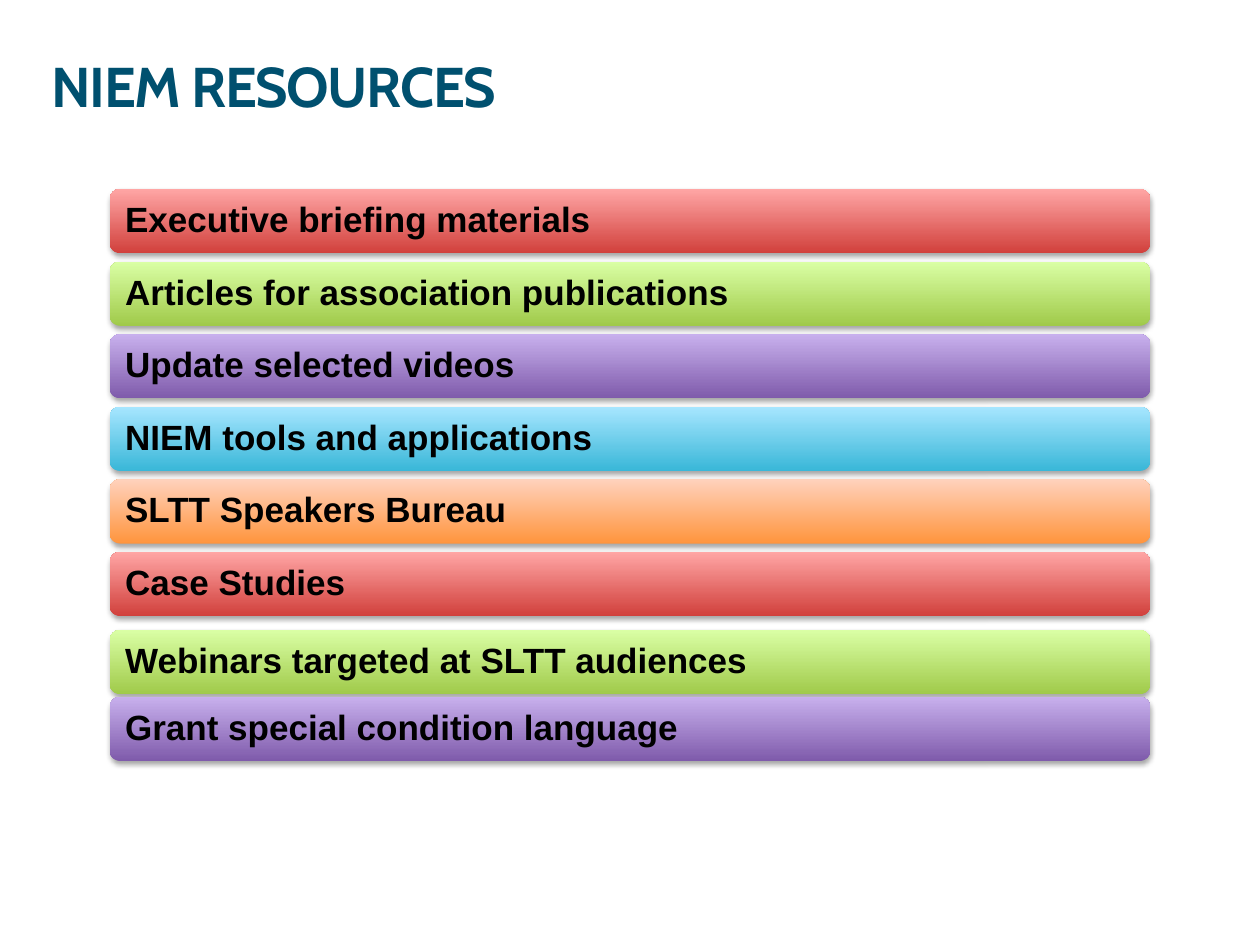
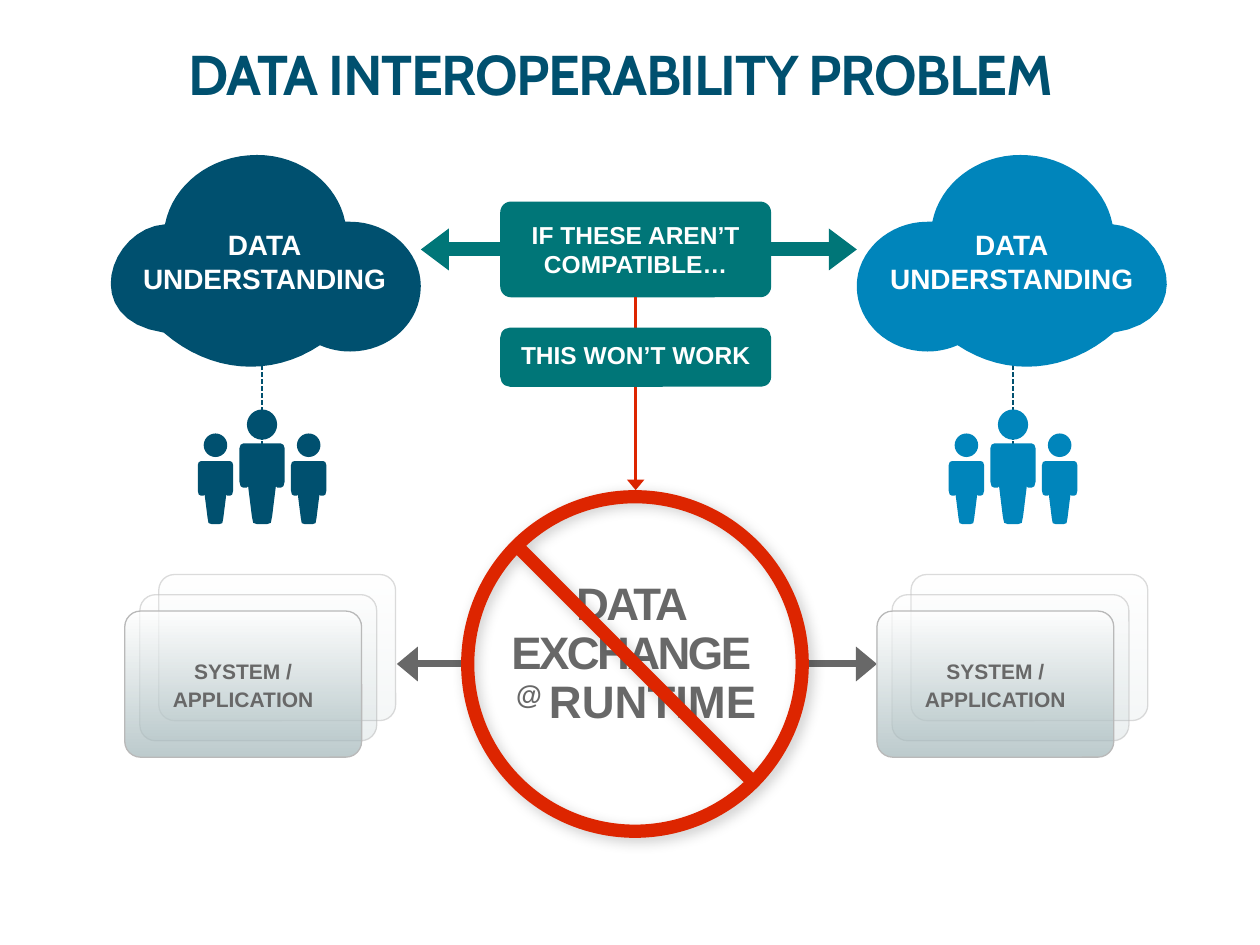
from typing import NamedTuple

from lxml.etree import SubElement
from pptx import Presentation
from pptx.dml.color import RGBColor
from pptx.enum.dml import MSO_LINE
from pptx.enum.shapes import MSO_CONNECTOR, MSO_SHAPE
from pptx.enum.text import MSO_ANCHOR, PP_ALIGN
from pptx.oxml.ns import qn
from pptx.util import Emu, Inches, Pt

NAVY, BLUE, TEAL, RED = "00506F", "0085BB", "007678", "DD2500"
GRAY, EDGE, MIST = "686868", "B9B9B9", "9EB3B6"
WHITE, BLACK = "FFFFFF", "000000"

TITLE = dict(name="Cabin", size=Pt(32), bold=True)


def arial(size: int) -> dict:
    return dict(name="Arial", size=Pt(size), bold=True)


class Box(NamedTuple):
    left: float
    top: float
    width: float
    height: float

    def lengths(self) -> list:
        return [Inches(value) for value in self]


class Run(NamedTuple):
    text: str
    spacing: float = 0
    baseline: int = 0


class Shadow(NamedTuple):
    opacity: int
    blur: float
    distance: float
    angle: int


class Bar(NamedTuple):
    text: str
    top: float
    colors: tuple


class Layer(NamedTuple):
    dx: float
    dy: float
    opacity: int
    edge_opacity: int


class Party(NamedTuple):
    color: str
    cloud_left: float
    mirrored: bool
    label_left: float
    people_center: float
    system_left: float


# Shared drawing helpers
def rgb(color: str) -> RGBColor:
    return RGBColor.from_string(color)


def set_opacity(parent, percent: int) -> None:
    for color in parent.iter(qn("a:srgbClr")):
        SubElement(color, qn("a:alpha"), val=str(percent * 1000))


def write(shape, lines, font: dict, color: str, align=PP_ALIGN.CENTER,
          anchor=MSO_ANCHOR.MIDDLE, line_spacing: float = 1.0) -> None:
    """Write one paragraph per line; a line is a string or a list of runs."""
    frame = shape.text_frame
    frame.word_wrap = True
    frame.vertical_anchor = anchor
    for index, line in enumerate(lines):
        paragraph = frame.paragraphs[0] if index == 0 else frame.add_paragraph()
        paragraph.alignment = align
        paragraph.line_spacing = line_spacing
        for part in [Run(line)] if isinstance(line, str) else line:
            run = paragraph.add_run()
            run.text = part.text
            for name, value in font.items():
                setattr(run.font, name, value)
            run.font.color.rgb = rgb(color)
            properties = run._r.get_or_add_rPr()
            if part.spacing:
                properties.set("spc", str(round(part.spacing * 100)))
            if part.baseline:
                properties.set("baseline", str(part.baseline * 1000))


def set_insets(shape, inset: float) -> None:
    for side in ("left", "top", "right", "bottom"):
        setattr(shape.text_frame, f"margin_{side}", Inches(inset))


def add_text(slide, box: Box, lines, font: dict, color: str, **layout):
    text_box = slide.shapes.add_textbox(*box.lengths())
    write(text_box, lines, font, color, **layout)
    return text_box


def add_title(slide, box: Box, text: str, align, anchor) -> None:
    title = add_text(slide, box, [[Run(text, -0.8)]], TITLE, NAVY,
                     align=align, anchor=anchor, line_spacing=0.8)
    set_insets(title, 0)


def paint(shape, fill) -> None:
    """Fill with one colour, or with a (bottom, top) pair as a gradient."""
    shape.shadow.inherit = False
    shape.line.fill.background()
    if isinstance(fill, str):
        shape.fill.solid()
        shape.fill.fore_color.rgb = rgb(fill)
        return
    shape.fill.gradient()
    shape.fill.gradient_angle = 90
    for stop, color in zip(shape.fill.gradient_stops, fill):
        stop.color.rgb = rgb(color)


def add_shape(slide, kind, box: Box, fill, corner: float | None = None):
    shape = slide.shapes.add_shape(kind, *box.lengths())
    if corner is not None:
        shape.adjustments[0] = corner
    paint(shape, fill)
    return shape


def cast_shadow(shape, shadow: Shadow) -> None:
    effects = shape._element.spPr.find(qn("a:effectLst"))
    outer = SubElement(effects, qn("a:outerShdw"),
                       blurRad=str(Pt(shadow.blur)), dist=str(Pt(shadow.distance)),
                       dir=str(shadow.angle * 60000), rotWithShape="0")
    SubElement(outer, qn("a:srgbClr"), val=BLACK)
    set_opacity(outer, shadow.opacity)


def add_line(slide, start: tuple, end: tuple, color: str, width: float,
             dashed: bool = False, arrows: tuple = (), wide: str = "lg",
             long: str = "med"):
    line = slide.shapes.add_connector(
        MSO_CONNECTOR.STRAIGHT, *[Inches(value) for value in (*start, *end)])
    line.line.color.rgb = rgb(color)
    line.line.width = Pt(width)
    if dashed:
        line.line.dash_style = MSO_LINE.SQUARE_DOT
    properties = line._element.spPr
    for arrow in arrows:
        SubElement(properties.find(qn("a:ln")), qn(f"a:{arrow}"),
                   type="triangle", w=wide, len=long)
    SubElement(properties, qn("a:effectLst"))
    return line


def add_outline(slide, points: list, color: str) -> None:
    corners = [(Inches(x), Inches(y)) for x, y in points]
    builder = slide.shapes.build_freeform(*corners[0], scale=1.0)
    builder.add_line_segments(corners[1:], close=True)
    paint(builder.convert_to_shape(), color)


# Slide 1: list of resources
RED_BAR, GREEN_BAR = ("D1403C", "FFA6A5"), ("A0CA4A", "DAFFA5")
PURPLE_BAR, CYAN_BAR = ("7F5BAB", "C8B0ED"), ("39B7D8", "A7E6FF")
ORANGE_BAR = ("FF953E", "FFD2BD")
FIRST_TOP, SIXTH_TOP = 1.5, 4.38
PITCH = (SIXTH_TOP - FIRST_TOP) / 5

BARS = [
    Bar("Executive briefing materials", FIRST_TOP, RED_BAR),
    Bar("Articles for association publications", FIRST_TOP + PITCH, GREEN_BAR),
    Bar("Update selected videos", FIRST_TOP + 2 * PITCH, PURPLE_BAR),
    Bar("NIEM tools and applications", FIRST_TOP + 3 * PITCH, CYAN_BAR),
    Bar("SLTT Speakers Bureau", FIRST_TOP + 4 * PITCH, ORANGE_BAR),
    Bar("Case Studies", SIXTH_TOP, RED_BAR),
    Bar("Webinars targeted at SLTT audiences", 5.0, GREEN_BAR),
    Bar("Grant special condition language", 5.53, PURPLE_BAR),
]


def build_resources(slide) -> None:
    add_title(slide, Box(0.41, 0.28, 8.85, 0.89), "NIEM RESOURCES",
              PP_ALIGN.LEFT, MSO_ANCHOR.MIDDLE)
    for bar in BARS:
        shape = add_shape(slide, MSO_SHAPE.ROUNDED_RECTANGLE,
                          Box(0.87, bar.top, 8.26, 0.51), bar.colors)
        cast_shadow(shape, Shadow(35, 3.1, 1.8, 90))
        set_insets(shape, 0.1)
        write(shape, [bar.text], arial(20), BLACK, align=PP_ALIGN.LEFT,
              line_spacing=0.9)


# Slide 2: two parties that fail to exchange data
PARTIES = [
    Party(NAVY, 0.62, False, 1.03, 2.08, 0.99),
    Party(BLUE, 6.8, True, 6.96, 8.04, 6.96),
]
LAYERS = [Layer(0.27, -0.29, 10, 50), Layer(0.12, -0.13, 20, 50), Layer(0, 0, 68, 100)]

CLOUD_WIDTH, CLOUD_TOP = 2.72, 1.23
CLOUD_START = (2.16, 0.53)
CLOUD_CURVES = [  # two control points and an end point each
    ((2.15, 0.53), (2.14, 0.53), (2.12, 0.53)),
    ((2.06, 0.23), (1.77, 0), (1.42, 0)),
    ((1.05, 0), (0.75, 0.24), (0.69, 0.55)),
    ((0.25, 0.58), (0, 1.31), (0.68, 1.41)),
    ((1.05, 1.73), (1.53, 1.77), (1.92, 1.51)),
    ((1.99, 1.54), (2.07, 1.56), (2.16, 1.56)),
    ((2.47, 1.56), (2.72, 1.33), (2.72, 1.04)),
    ((2.72, 0.77), (2.47, 0.53), (2.16, 0.53)),
]
HALF_BODY = [(0.15, 0), (0.17, 0.01), (0.18, 0.04), (0.18, 0.3), (0.17, 0.34),
             (0.15, 0.35), (0.12, 0.35), (0.11, 0.34), (0.08, 0.58),
             (0.07, 0.63), (0.04, 0.64)]
FEET = 4.16


def bezier(start: tuple, curve: tuple, steps: int = 16) -> list:
    def at(t: float, axis: int) -> float:
        a, b, c, d = (point[axis] for point in (start, *curve))
        s = 1 - t
        return s**3 * a + 3 * s * s * t * b + 3 * s * t * t * c + t**3 * d
    return [(at(i / steps, 0), at(i / steps, 1)) for i in range(1, steps + 1)]


def add_cloud(slide, party: Party) -> None:
    points = [CLOUD_START]
    for curve in CLOUD_CURVES:
        points += bezier(points[-1], curve)
    add_outline(slide, [
        (party.cloud_left + (CLOUD_WIDTH - x if party.mirrored else x), CLOUD_TOP + y)
        for x, y in points], party.color)
    add_text(slide, Box(party.label_left, 1.76, 2.14, 0.64),
             ["DATA", "UNDERSTANDING"], arial(16), WHITE, anchor=MSO_ANCHOR.TOP)


def add_person(slide, center: float, scale: float, head_top: float, color: str) -> None:
    body = HALF_BODY + [(-x, y) for x, y in reversed(HALF_BODY)]
    add_outline(slide, [(center + x * scale, FEET - (0.64 - y) * scale)
                        for x, y in body], color)
    head = 0.24 * scale
    add_shape(slide, MSO_SHAPE.OVAL, Box(center - head / 2, head_top, head, head), color)


def add_system(slide, left: float) -> None:
    for layer in LAYERS:
        card = add_shape(slide, MSO_SHAPE.ROUNDED_RECTANGLE,
                         Box(left + layer.dx, 4.85 + layer.dy, 1.88, 1.16),
                         (MIST, WHITE), 0.108)
        card.line.color.rgb = rgb(EDGE)
        card.line.width = Pt(0.75)
        properties = card._element.spPr
        set_opacity(properties.find(qn("a:gradFill")), layer.opacity)
        set_opacity(properties.find(qn("a:ln")), layer.edge_opacity)
    write(card, ["SYSTEM /", "APPLICATION"], arial(12), GRAY, line_spacing=1.1)


def build_problem(slide) -> None:
    for party in PARTIES:
        add_line(slide, (party.people_center, 3.6), (party.people_center, 2.4),
                 NAVY, 1, dashed=True)
    add_title(slide, Box(0.5, 0.42, 8.85, 0.89), "DATA INTEROPERABILITY PROBLEM",
              PP_ALIGN.CENTER, MSO_ANCHOR.TOP)

    # Condition and consequence
    condition = add_shape(slide, MSO_SHAPE.ROUNDED_RECTANGLE,
                          Box(3.97, 1.6, 2.15, 0.76), TEAL, 0.112)
    write(condition, ["IF THESE AREN’T COMPATIBLE…"], arial(14), WHITE)
    for site, start, tip in ((1, 3.97, 3.34), (3, 6.12, 6.8)):
        arrow = add_line(slide, (start, 1.98), (tip, 1.98), TEAL, 8,
                         arrows=("tailEnd",), wide="med", long="sm")
        arrow.begin_connect(condition, site)
    failure = add_line(slide, (5.05, 2.36), (5.05, 3.89), RED, 2, arrows=("tailEnd",))
    failure.begin_connect(condition, 2)
    # Keep the arrow upright after joining
    failure.end_x = Emu(failure.begin_x)
    consequence = add_shape(slide, MSO_SHAPE.ROUNDED_RECTANGLE,
                            Box(3.97, 2.6, 2.15, 0.47), TEAL)
    write(consequence, ["THIS WON’T WORK"], arial(14), WHITE, line_spacing=0.8)

    # Blocked exchange between the systems
    add_line(slide, (3.15, 5.27), (6.96, 5.27), GRAY, 4, arrows=("headEnd", "tailEnd"))
    add_shape(slide, MSO_SHAPE.OVAL, Box(3.76, 3.99, 2.58, 2.58), WHITE)
    add_text(slide, Box(3.44, 4.56, 3.22, 1.29),
             [[Run("DATA ", -1.5)], [Run("EXCHANGE ", -1.5)],
              [Run("@ ", baseline=30), Run("RUNTIME")]],
             arial(26), GRAY, anchor=MSO_ANCHOR.TOP, line_spacing=0.9)
    ban = add_shape(slide, MSO_SHAPE.NO_SYMBOL, Box(3.66, 3.89, 2.76, 2.76), RED, 0.038)
    cast_shadow(ban, Shadow(20, 8, 3, 45))

    # Clouds, systems and people of each party
    for party in PARTIES:
        add_cloud(slide, party)
        add_system(slide, party.system_left)
        add_person(slide, party.people_center, 1, 3.25, party.color)
        for offset in (-0.37, 0.37):
            add_person(slide, party.people_center + offset, 0.78, 3.44, party.color)


def main() -> None:
    deck = Presentation()
    deck.slide_width, deck.slide_height = Inches(10), Inches(7.5)
    for build in (build_resources, build_problem):
        build(deck.slides.add_slide(deck.slide_layouts[6]))
    deck.save("out.pptx")


if __name__ == "__main__":
    main()
